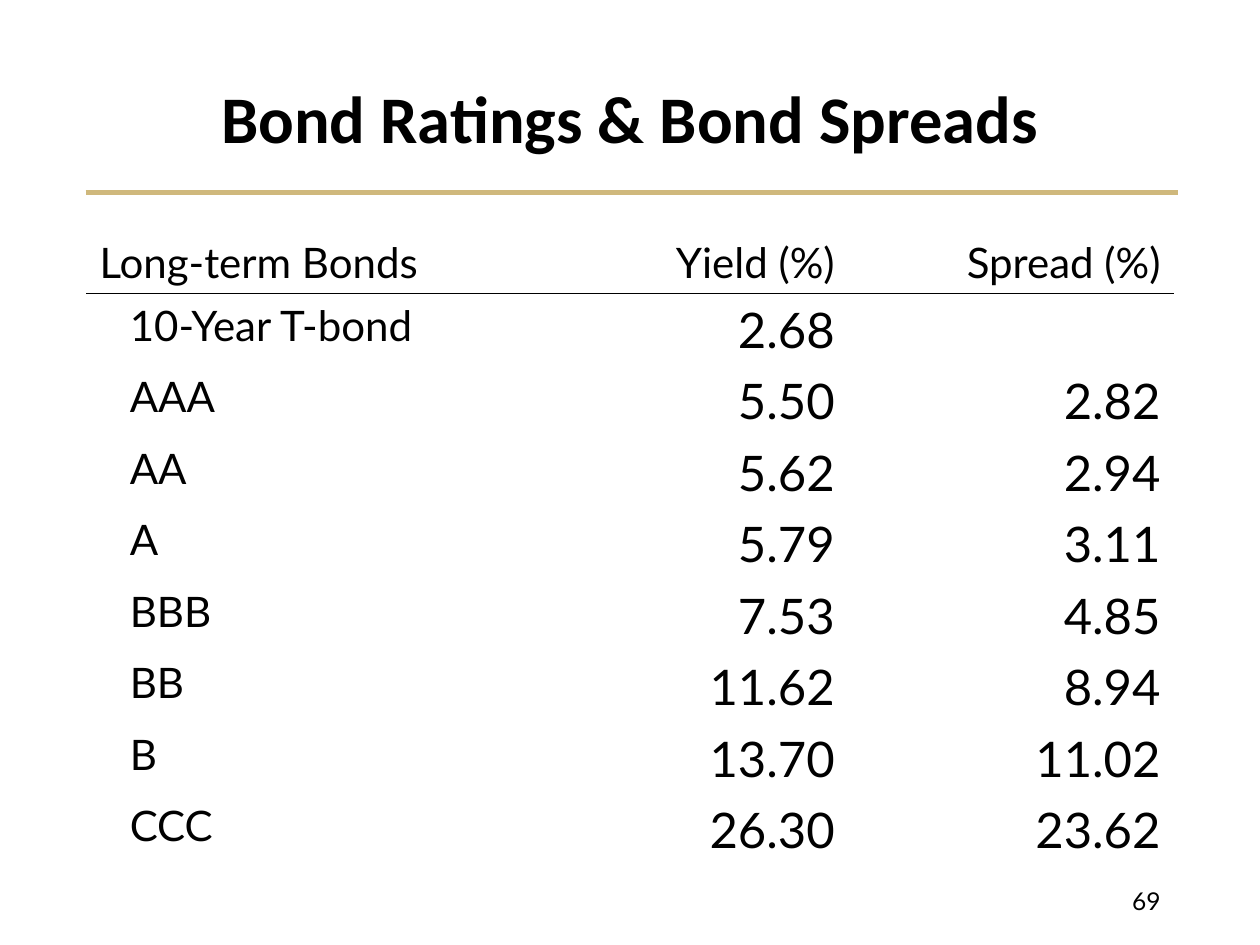
from lxml import etree
from pptx import Presentation
from pptx import util as u
from pptx.dml.color import RGBColor
from pptx.enum import shapes, text
from pptx.oxml.ns import qn

WIDTH, HEIGHT = 10, 7.5
LEFT, CONTENT_WIDTH = 0.069 * WIDTH, 0.862 * WIDTH
BLACK, GOLD = "000000", "CFB87C"
LABEL = {"name": "Lato", "size": u.Pt(24)}
FIGURE = {"name": "Lato", "size": u.Pt(28)}
HEADING = {"name": "Calibri", "size": u.Pt(38), "bold": True}
NUMBER = {"name": "Lato", "size": u.Pt(14)}

HEADER = ("Long-term Bonds", "Yield (%)", "Spread (%)")
RATINGS = (
    ("10-Year T-bond", "2.68", ""),
    ("AAA", "5.50", "2.82"),
    ("AA", "5.62", "2.94"),
    ("A", "5.79", "3.11"),
    ("BBB", "7.53", "4.85"),
    ("BB", "11.62", "8.94"),
    ("B", "13.70", "11.02"),
    ("CCC", "26.30", "23.62"),
)


def colour(value):
    return RGBColor.from_string(value)


def inches(box):
    return [u.Inches(length) for length in box]


def write(frame, words, style, align):
    """Put one formatted line of text into a text frame."""
    paragraph = frame.paragraphs[0]
    paragraph.alignment = align
    if words:
        run = paragraph.add_run()
        run.text = words
        for key, value in style.items():
            setattr(run.font, key, value)
        run.font.color.rgb = colour(BLACK)
    return paragraph


def rule_cell(cell, side):
    """Draw a thin black border on one side of a cell."""
    border = etree.Element(qn(f"a:{side}"), w=str(u.Pt(1)))
    fill = etree.SubElement(border, qn("a:solidFill"))
    etree.SubElement(fill, qn("a:srgbClr"), val=BLACK)
    cell._tc.get_or_add_tcPr().insert(0, border)


def add_heading(slide, box):
    title = slide.shapes.title
    title.left, title.top, title.width, title.height = inches(box)
    frame = title.text_frame
    frame.vertical_anchor = text.MSO_ANCHOR.MIDDLE
    paragraph = write(frame, "Bond Ratings & Bond Spreads", HEADING,
                      text.PP_ALIGN.CENTER)
    paragraph.line_spacing = 0.9

    # Gold rule along the foot of the heading
    left, top, width, height = box
    ends = inches((left - 0.01, top + height, left + width + 0.04, top + height))
    rule = slide.shapes.add_connector(shapes.MSO_CONNECTOR.STRAIGHT, *ends)
    rule.line.color.rgb = colour(GOLD)
    rule.line.width = u.Pt(3)
    etree.SubElement(rule._element.spPr, qn("a:effectLst"))


def add_ratings(slide, box):
    rows = (HEADER, *RATINGS)
    frame = slide.shapes.add_table(len(rows), len(HEADER), *inches(box))
    table = frame.table
    table.first_row = table.horz_banding = False

    # Column shares, a shallow header row and equal rating rows
    for column, share in zip(table.columns, (0.437, 0.263, 0.3)):
        column.width = u.Inches(box[2] * share)
    header_height = 0.5
    table.rows[0].height = u.Inches(header_height)
    for row in list(table.rows)[1:]:
        row.height = u.Inches((box[3] - header_height) / len(RATINGS))

    for r, values in enumerate(rows):
        for c, value in enumerate(values):
            cell = table.cell(r, c)
            cell.fill.background()
            is_label = r == 0 or c == 0
            align = text.PP_ALIGN.RIGHT if c else text.PP_ALIGN.LEFT
            write(cell.text_frame, value, LABEL if is_label else FIGURE, align)
            if r == 0:
                cell.vertical_anchor = text.MSO_ANCHOR.BOTTOM
                rule_cell(cell, "lnB")
            elif r == 1:
                rule_cell(cell, "lnT")
            if r and c == 0:
                cell.margin_left = u.Inches(0.34)


def add_page_number(slide, box):
    frame = slide.shapes.add_textbox(*inches(box)).text_frame
    frame.word_wrap = True
    frame.vertical_anchor = text.MSO_ANCHOR.MIDDLE
    write(frame, "69", NUMBER, text.PP_ALIGN.RIGHT)


def main():
    deck = Presentation()
    deck.slide_width, deck.slide_height = inches((WIDTH, HEIGHT))
    slide = deck.slides.add_slide(deck.slide_layouts[5])
    add_heading(slide, (LEFT, 0.4, CONTENT_WIDTH, 1.13))
    add_ratings(slide, (LEFT, 1.83, CONTENT_WIDTH, 5.03))
    add_page_number(slide, (7.06, 6.95, 2.25, 0.4))
    deck.save("out.pptx")


if __name__ == "__main__":
    main()
